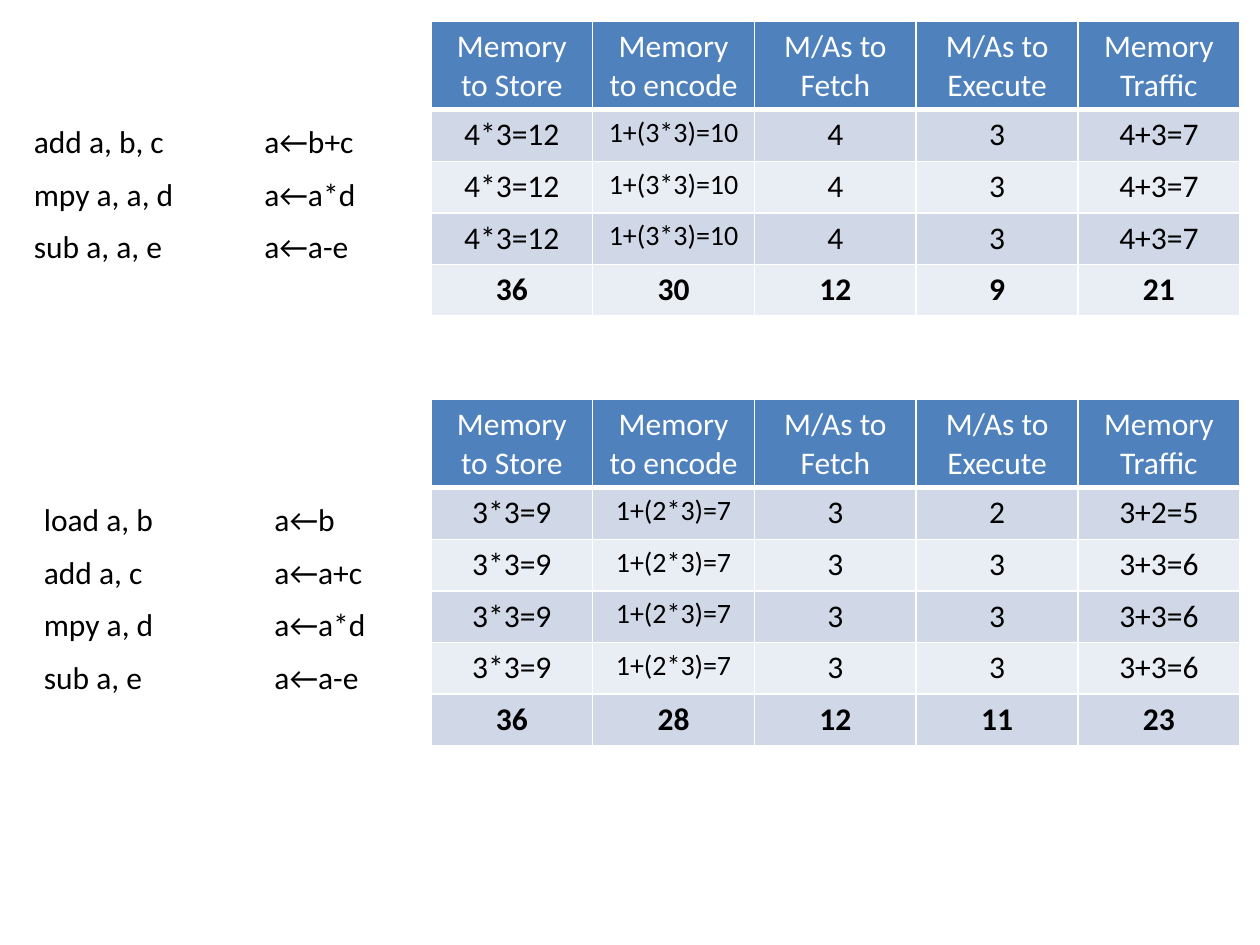
from lxml.etree import SubElement
from pptx import Presentation
from pptx.dml.color import RGBColor
from pptx.enum.text import MSO_AUTO_SIZE, PP_ALIGN
from pptx.oxml.ns import qn
from pptx.util import Inches, Pt

COLORS = {
    "text": "000000",
    "header_text": "FFFFFF",
    "border": "FFFFFF",
    "header": "4F81BD",
    "odd_row": "D0D8E8",
    "even_row": "E9EDF4",
}
HEADERS = ["Memory to Store", "Memory to encode", "M/As to Fetch",
           "M/As to Execute", "Memory Traffic"]
ENCODE_COLUMN = 1

THREE_ADDRESS = {
    "code": [("add a, b, c", "a←b+c"),
             ("mpy a, a, d", "a←a*d"),
             ("sub a, a, e", "a←a-e")],
    "costs": [["4*3=12", "1+(3*3)=10", "4", "3", "4+3=7"]] * 3,
    "totals": ["36", "30", "12", "9", "21"],
}
TWO_ADDRESS = {
    "code": [("load a, b", "a←b"),
             ("add a, c", "a←a+c"),
             ("mpy a, d", "a←a*d"),
             ("sub a, e", "a←a-e")],
    "costs": [["3*3=9", "1+(2*3)=7", "3", "2", "3+2=5"]]
    + [["3*3=9", "1+(2*3)=7", "3", "3", "3+3=6"]] * 3,
    "totals": ["36", "28", "12", "11", "23"],
}


def write(frame, text, color="text", size=18, bold=False):
    paragraph = frame.paragraphs[0]
    paragraph.text = text
    font = paragraph.runs[0].font
    for name, value in {"name": "Calibri", "size": Pt(size), "bold": bold}.items():
        setattr(font, name, value)
    font.color.rgb = RGBColor.from_string(COLORS[color])
    return paragraph


def add_borders(cell, bottom):
    """Draw the cell's four borders; must run before the cell is filled."""
    properties = cell._tc.get_or_add_tcPr()
    for side, points in {"L": 1, "R": 1, "T": 1, "B": bottom}.items():
        line = SubElement(properties, qn(f"a:ln{side}"), w=str(Pt(points)))
        fill = SubElement(line, qn("a:solidFill"))
        SubElement(fill, qn("a:srgbClr"), val=COLORS["border"])


def add_instructions(slide, left, top, code):
    columns = [(0, 1.6), (1.83, 1.08)]
    row_step = Inches(5) / 12
    for row, instruction in enumerate(code):
        for (offset, width), text in zip(columns, instruction):
            box = slide.shapes.add_textbox(
                left + Inches(offset), top + round(row * row_step),
                Inches(width), Inches(0.4))
            frame = box.text_frame
            frame.word_wrap = True
            frame.auto_size = MSO_AUTO_SIZE.SHAPE_TO_FIT_TEXT
            write(frame, text)


def add_cost_table(slide, left, top, width, costs, totals):
    rows = [HEADERS, *costs, totals]
    header_height, row_height = Inches(0.69), Inches(0.41)
    table = slide.shapes.add_table(
        len(rows), len(HEADERS), left, top, width,
        header_height + row_height * (len(rows) - 1)).table
    for index, values in enumerate(rows):
        is_header, is_total = index == 0, index == len(rows) - 1
        table.rows[index].height = header_height if is_header else row_height
        fill = "header" if is_header else "odd_row" if index % 2 else "even_row"
        for column, value in enumerate(values):
            cell = table.cell(index, column)
            add_borders(cell, bottom=3 if is_header else 1)
            cell.fill.solid()
            cell.fill.fore_color.rgb = RGBColor.from_string(COLORS[fill])
            is_encoding = column == ENCODE_COLUMN and not (is_header or is_total)
            paragraph = write(cell.text_frame, value,
                              color="header_text" if is_header else "text",
                              size=16 if is_encoding else 18, bold=is_total)
            paragraph.alignment = PP_ALIGN.CENTER


def add_program(slide, code_left, top, program):
    """Place a program's instructions beside the table of their costs."""
    add_instructions(slide, code_left, top + Inches(0.75), program["code"])
    add_cost_table(slide, Inches(3.42), top, Inches(6.42),
                   program["costs"], program["totals"])


def main():
    presentation = Presentation()
    presentation.slide_width = Inches(10)
    presentation.slide_height = Inches(7.5)
    slide = presentation.slides.add_slide(presentation.slide_layouts[6])
    add_program(slide, Inches(0.17), Inches(0.17), THREE_ADDRESS)
    add_program(slide, Inches(0.25), Inches(3.17), TWO_ADDRESS)
    presentation.save("out.pptx")


if __name__ == "__main__":
    main()
